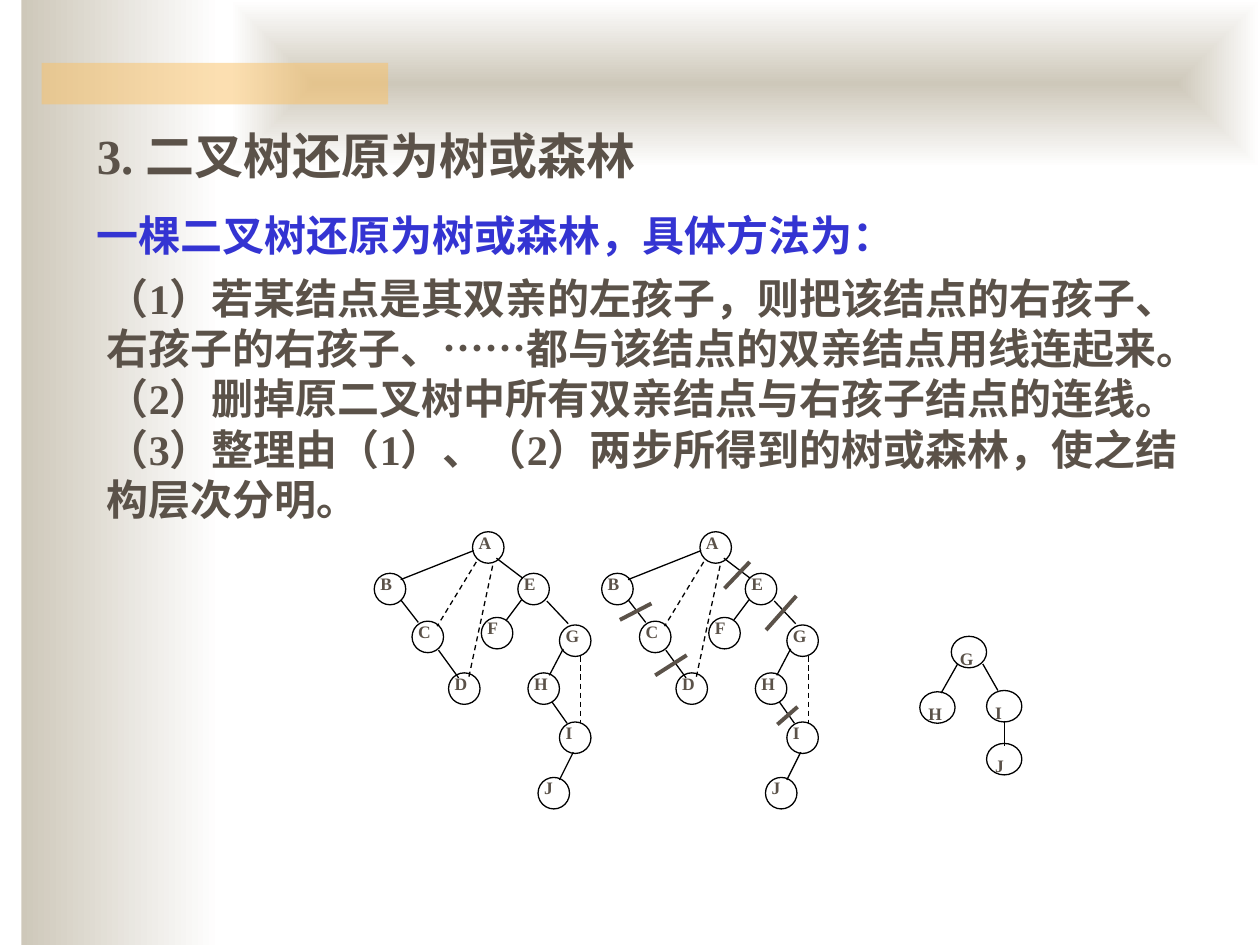
from lxml import etree
from pptx import Presentation
from pptx import util as u
from pptx.dml.color import RGBColor
from pptx.enum import dml, shapes, text
from pptx.oxml.ns import qn

THEME = {
    "ink": "5B5249", "blue": "3434D2", "line": "000000",
    "sand": "CEC8BA", "paper": "FFFFFF", "amber": "FAC164",
    "latin": "Times New Roman", "cjk": "Noto Sans CJK SC",
    "title": 28, "body": 24, "node": 10, "thin": 0.75, "cut": 2.25,
}

presentation = Presentation()
presentation.slide_width = u.Inches(10)
presentation.slide_height = u.Inches(7.5)
slide = presentation.slides.add_slide(presentation.slide_layouts[6])

# Grid of 100 columns by 75 rows; its cells are square
CELL = presentation.slide_width / 100


def add_text(parent, box, paragraphs, size, color="ink", align=None, spacing=None, top=0.5):
    """Each paragraph is a list of (text, font) runs."""
    shape = parent.add_textbox(*(int(value * CELL) for value in box))
    frame = shape.text_frame
    frame.word_wrap = True
    frame.margin_top = int(top * CELL)
    for index, runs in enumerate(paragraphs):
        paragraph = frame.paragraphs[0] if index == 0 else frame.add_paragraph()
        paragraph.alignment = align
        paragraph.line_spacing = spacing
        for content, font in runs:
            run = paragraph.add_run()
            run.text = content
            run.font.size = u.Pt(size)
            run.font.bold = True
            run.font.name = THEME[font]
            run.font.color.rgb = RGBColor.from_string(THEME[color])
            east_asian = etree.SubElement(run.font._element, qn("a:ea"))
            east_asian.set("typeface", THEME["cjk"])


def add_line(parent, ends, color="line", width="thin", dashed=False):
    line = parent.add_connector(shapes.MSO_CONNECTOR.STRAIGHT, *(int(value * CELL) for value in ends))
    line.line.color.rgb = RGBColor.from_string(THEME[color])
    line.line.width = u.Pt(THEME[width])
    if dashed:
        line.line.dash_style = dml.MSO_LINE.DASH
    etree.SubElement(line._element.spPr, qn("a:effectLst"))


# Background: side band, top band, amber bar
for name, box in [
    ("side", (1.7, 0, 15.8, 75)),
    ("top", (18.3, 0, 81.7, 13.3)),
    ("bar", (3.3, 5, 27.5, 3.3)),
]:
    band = slide.shapes.add_shape(shapes.MSO_SHAPE.RECTANGLE, *(int(value * CELL) for value in box))
    band.shadow.inherit = False
    band.line.fill.background()
    if name == "bar":
        band.fill.solid()
        band.fill.fore_color.rgb = RGBColor.from_string(THEME["amber"])
        color_element = band._element.spPr.find(".//" + qn("a:srgbClr"))
        etree.SubElement(color_element, qn("a:alpha")).set("val", "50000")
        continue
    band.fill.gradient()
    band.fill.gradient_angle = 0
    for stop, color in zip(band.fill.gradient_stops, ("sand", "paper")):
        stop.color.rgb = RGBColor.from_string(THEME[color])
    if name == "top":
        linear = band._element.spPr.find(".//" + qn("a:lin"))
        gradient_path = etree.Element(qn("a:path"), {"path": "rect"})
        etree.SubElement(gradient_path, qn("a:fillToRect"), {side: "50000" for side in "ltrb"})
        linear.getparent().replace(linear, gradient_path)

# Heading, lead sentence and the three steps
steps = [
    [("（1）", "latin"), ("若某结点是其双亲的左孩子，则把该结点的右孩子、右孩子的右孩子、", "cjk"),
     ("……", "latin"), ("都与该结点的双亲结点用线连起来。", "cjk")],
    [("（2）", "latin"), ("删掉原二叉树中所有双亲结点与右孩子结点的连线。", "cjk")],
    [("（3）", "latin"), ("整理由（", "cjk"), ("1", "latin"), ("）、（", "cjk"), ("2", "latin"),
     ("）两步所得到的树或森林，使之结构层次分明。", "cjk")],
]
for box, paragraphs, size, color in [
    ((6.7, 9.2, 90, 5.7), [[("3. 二叉树还原为树或森林", "latin")]], "title", "ink"),
    ((6.7, 15.8, 89.2, 5), [[("一棵二叉树还原为树或森林，具体方法为：", "latin")]], "body", "blue"),
    ((7.5, 20.8, 90, 21), steps, "body", "ink"),
]:
    points = THEME[size]
    add_text(slide.shapes, box, paragraphs, points, color, spacing=u.Pt(1.2 * points), top=0.8)

# Binary tree: node corners, tree edges and added (dashed) edges
binary_nodes = {
    "D": (35.6, 53.4), "A": (37.5, 42.2), "B": (29.7, 45.5), "C": (32.7, 49.3), "E": (41.1, 45.5),
    "F": (38.2, 49), "G": (44.4, 49.6), "H": (41.9, 53.4), "I": (44.4, 57.3), "J": (42.7, 61.7),
}
binary_edges = [
    (37.6, 43.7, 31.8, 46), (31.8, 47.6, 33.2, 49.4), (34.8, 51.6, 36.4, 53.8),
    (39.4, 44.3, 41.5, 45.9), (41.4, 47.6, 40.2, 49.2), (43.4, 47.7, 45.1, 49.5),
    (44.7, 51.5, 43.6, 53.6), (43.8, 55.7, 45, 57.4), (45.5, 59.7, 44.4, 61.9),
]
added_edges = [(37.8, 44.6, 34.7, 49.7), (39.1, 44.9, 37.2, 53.8), (46.1, 52.1, 46.1, 57.4)]

# Restored subtree of G
restored_nodes = {"H": (73, 54.9), "I": (78.3, 54.8), "J": (78.3, 59), "G": (75.5, 50.5)}
restored_edges = [(76, 52.7, 74.7, 55), (78, 52.7, 79.2, 54.8), (79.7, 57.2, 79.7, 59.2)]

# Each tree: shift in columns, node width, label offset, parts
for shift, width, offset, nodes, edges, dashes in [
    (0, 2.5, (-0.5, -0.5), binary_nodes, binary_edges, added_edges),
    (18.05, 2.5, (-0.5, -0.5), binary_nodes, binary_edges, added_edges),
    (0, 2.8, (-0.3, 0.4), restored_nodes, restored_edges, []),
]:
    tree = slide.shapes.add_group_shape().shapes
    for label, (left, top) in nodes.items():
        left += shift
        add_text(tree, (left + offset[0], top + offset[1], 4, 4), [[(label, "latin")]],
                 THEME["node"], align=text.PP_ALIGN.JUSTIFY)
        circle = tree.add_shape(shapes.MSO_SHAPE.OVAL,
                                *(int(value * CELL) for value in (left, top, width, 2.5)))
        circle.shadow.inherit = False
        circle.fill.background()
        circle.line.color.rgb = RGBColor.from_string(THEME["line"])
        circle.line.width = u.Pt(THEME["thin"])
    for group, dashed in ((edges, False), (dashes, True)):
        for x1, y1, x2, y2 in group:
            add_line(tree, (x1 + shift, y1, x2 + shift, y2), dashed=dashed)

# Cut marks over the removed edges of the second tree
for cut in [
    (51.7, 47.9, 49.2, 49.2), (54.5, 52, 52, 53.6), (59.5, 44.6, 57.5, 46.7),
    (63.2, 47.3, 60.8, 50), (63.3, 56.1, 61.7, 57.5),
]:
    add_line(slide.shapes, cut, "ink", "cut")

presentation.save("out.pptx")
